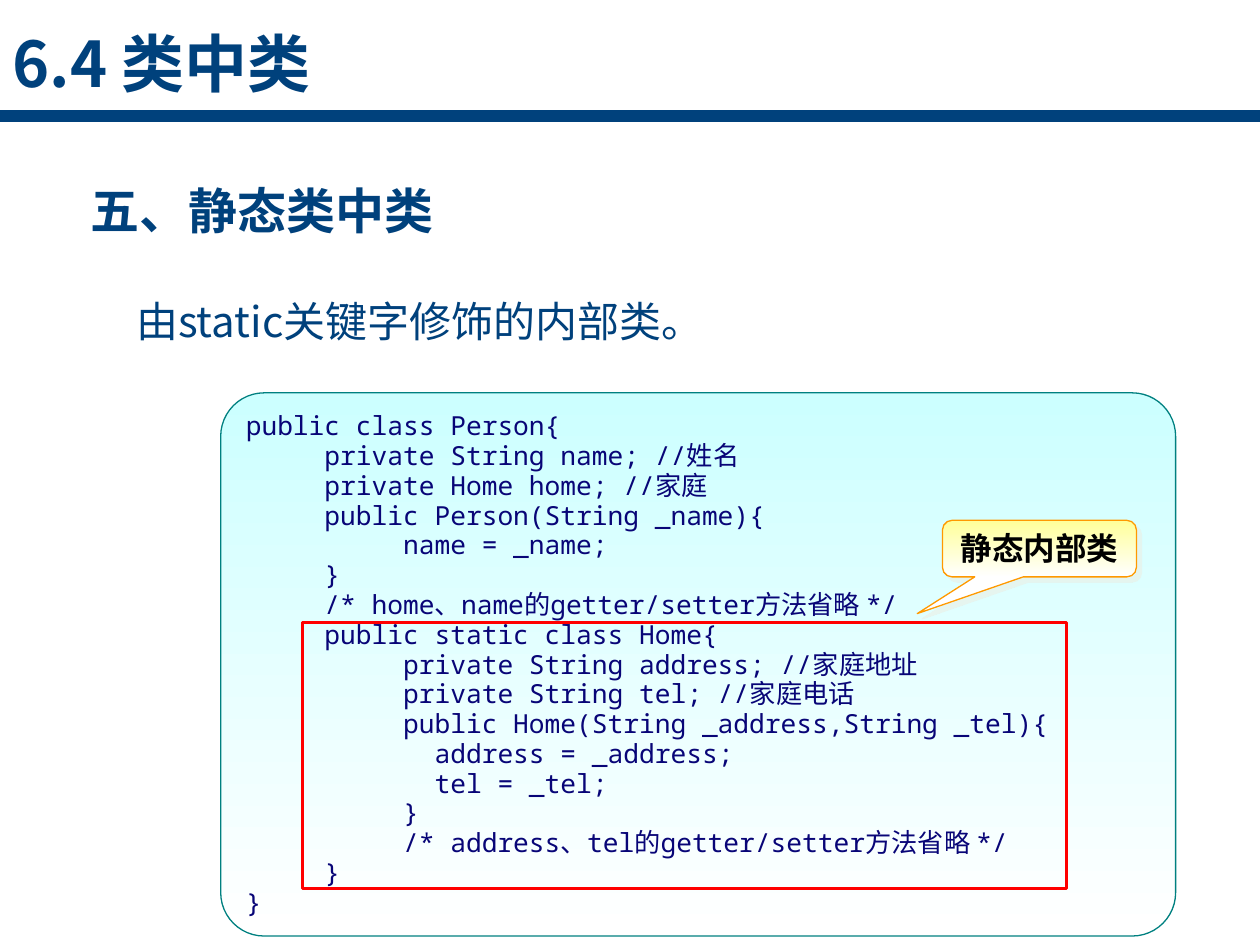
"""Build the slide on static nested classes."""
from lxml import etree
from pptx import Presentation
from pptx import util as u
from pptx.dml.color import RGBColor
from pptx.enum import shapes, text
from pptx.oxml import parse_xml
from pptx.oxml.ns import nsdecls, qn

NAVY = RGBColor(0x00, 0x41, 0x7C)
CODE_BLUE = RGBColor(0x08, 0x05, 0x77)
BLACK = RGBColor(0x00, 0x00, 0x00)
WHITE = RGBColor(0xFF, 0xFF, 0xFF)
CYAN = RGBColor(0xCC, 0xFF, 0xFF)
TEAL = RGBColor(0x00, 0x80, 0x80)
YELLOW = RGBColor(0xFF, 0xFF, 0x99)
ORANGE = RGBColor(0xFF, 0x99, 0x00)
RED = RGBColor(0xFF, 0x00, 0x00)
SANS = "Noto Sans CJK SC"
MONO = "Noto Sans Mono"
LEFT, CENTER = text.PP_ALIGN.LEFT, text.PP_ALIGN.CENTER
TOP, MIDDLE = text.MSO_ANCHOR.TOP, text.MSO_ANCHOR.MIDDLE

CODE = """public class Person{
     private String name; //姓名
     private Home home; //家庭
     public Person(String _name){
          name = _name;
     }
     /* home、name的getter/setter方法省略 */
     public static class Home{
          private String address; //家庭地址
          private String tel; //家庭电话
          public Home(String _address,String _tel){
            address = _address;
            tel = _tel;
          }
          /* address、tel的getter/setter方法省略 */
     }
}"""


def write(box, words, colour, frame_format, para_format, font_format):
    frame = box.text_frame
    frame.text = words
    for name, value in frame_format.items():
        setattr(frame, name, value)
    for para in frame.paragraphs:
        for name, value in para_format.items():
            setattr(para, name, value)
        for span in para.runs:
            for name, value in font_format.items():
                setattr(span.font, name, value)
            span.font.color.rgb = colour
            east = etree.SubElement(span.font._element, qn("a:ea"))
            east.set("typeface", SANS)


def add_panel(kind, place, colours, outline, width):
    panel = page.shapes.add_shape(kind, *map(u.Cm, place))
    panel.shadow.inherit = False
    if colours:
        panel.fill.gradient()
        panel.fill.gradient_angle = 270
        for stop, colour in zip(panel.fill.gradient_stops, colours):
            stop.color.rgb = colour
    else:
        panel.fill.background()
    panel.line.color.rgb = outline
    panel.line.width = u.Pt(width)
    return panel


deck = Presentation()
deck.slide_width, deck.slide_height = u.Cm(25.4), u.Cm(19.05)
page = deck.slides.add_slide(deck.slide_layouts[3])
title, heading, statement = page.placeholders

rule = page.shapes.add_connector(
    shapes.MSO_CONNECTOR.STRAIGHT, u.Cm(0), u.Cm(2.34), u.Cm(25.4), u.Cm(2.34))
rule.line.color.rgb = NAVY
rule.line.width = u.Pt(7)
etree.SubElement(rule._element.spPr, qn("a:effectLst"))

headline_texts = [
    (title, (0, 0.36, 6.91, 1.8), "6.4 类中类", False, 0,
     {"alignment": LEFT}, {"size": u.Pt(36), "bold": True}),
    (heading, (0.1, 2.92, 22.2, 1.83), "五、静态类中类", True, 1.47,
     {"line_spacing": 1.5, "space_after": u.Pt(12)}, {"size": u.Pt(28), "bold": True}),
    (statement, (2.49, 5.33, 21.79, 1.63), "由static关键字修饰的内部类。", True, 0,
     {"line_spacing": 1.5, "space_after": u.Pt(6)}, {"size": u.Pt(24), "bold": False}),
]
for box, place, words, wrap, indent, para_format, font_format in headline_texts:
    box.left, box.top, box.width, box.height = map(u.Cm, place)
    write(box, words, NAVY,
          {"word_wrap": wrap, "vertical_anchor": TOP,
           "auto_size": text.MSO_AUTO_SIZE.SHAPE_TO_FIT_TEXT},
          {"space_before": u.Pt(0), **para_format}, {"name": SANS, **font_format})
    properties = box.text_frame.paragraphs[0]._p.get_or_add_pPr()
    properties.set("marL", str(u.Cm(indent)))
    properties.set("indent", "0")
    etree.SubElement(properties, qn("a:buNone"))

code_panel = add_panel(shapes.MSO_SHAPE.ROUNDED_RECTANGLE,
                       (4.45, 7.92, 19.25, 10.95), (CYAN, WHITE), TEAL, 0.75)
code_panel.adjustments[0] = 0.08
write(code_panel, CODE, CODE_BLUE,
      {"word_wrap": True, "vertical_anchor": MIDDLE},
      {"alignment": LEFT, "line_spacing": u.Pt(17)},
      {"name": MONO, "size": u.Pt(15)})

add_panel(shapes.MSO_SHAPE.RECTANGLE, (6.1, 12.55, 15.4, 5.36), None, RED, 2)

callout = add_panel(shapes.MSO_SHAPE.ROUNDED_RECTANGULAR_CALLOUT,
                    (19, 10.49, 3.91, 1.14), (YELLOW, WHITE), ORANGE, 0.75)
for index, value in enumerate((-0.63, 1.15, 0.17)):
    callout.adjustments[index] = value
callout._element.spPr.find(qn("a:effectLst")).append(parse_xml(
    f'<a:outerShdw {nsdecls("a")} dist="{u.Pt(4.2)}" dir="2700000" algn="ctr" '
    'rotWithShape="0"><a:srgbClr val="EEECE1"><a:alpha val="50000"/>'
    '</a:srgbClr></a:outerShdw>'))
write(callout, "静态内部类", BLACK,
      {"word_wrap": True, "vertical_anchor": TOP}, {"alignment": CENTER},
      {"name": SANS, "size": u.Pt(18), "bold": True})

deck.save("out.pptx")
